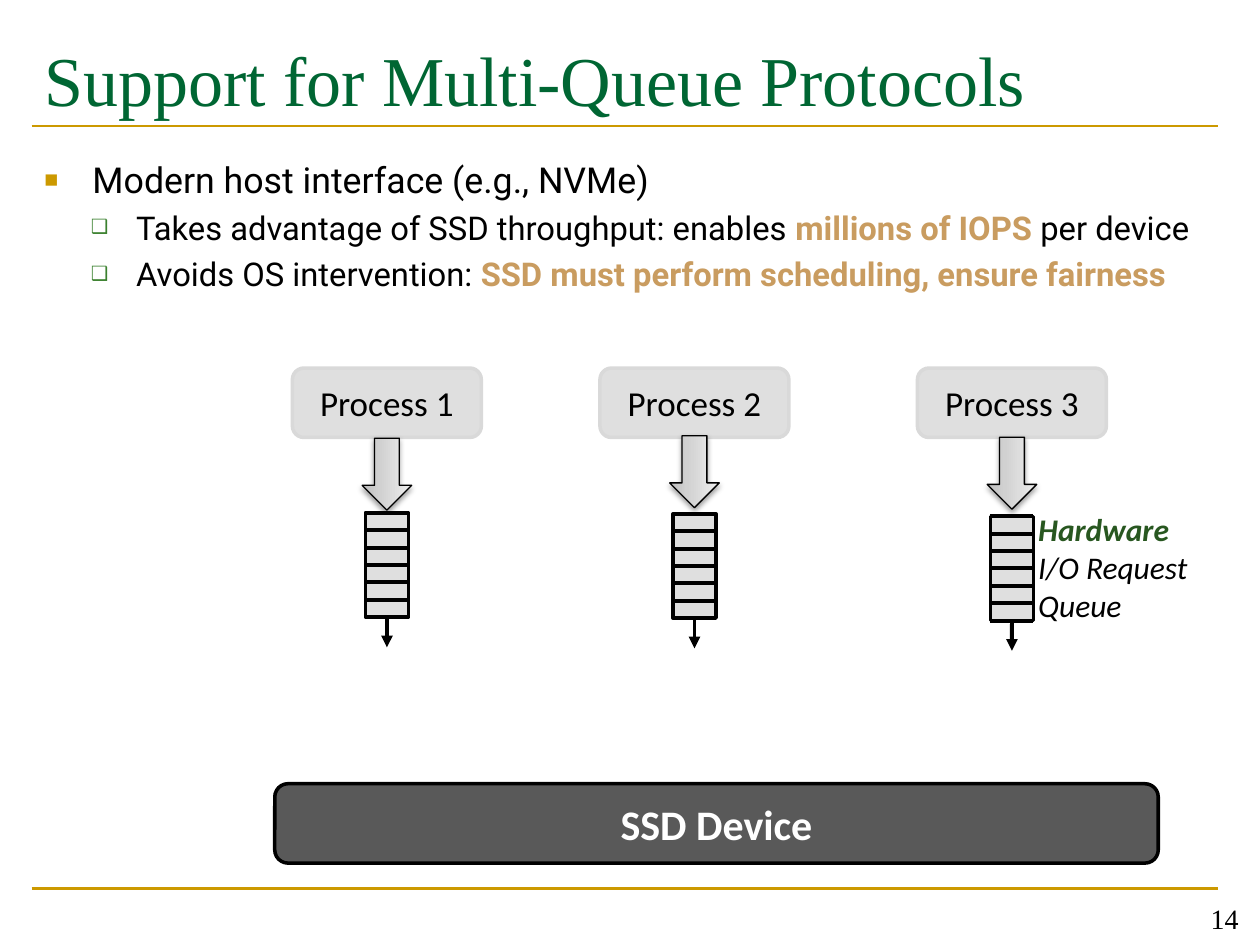
from lxml import etree
from pptx import Presentation
from pptx.dml.color import RGBColor
from pptx.enum.shapes import MSO_CONNECTOR, MSO_SHAPE
from pptx.enum.text import MSO_ANCHOR, MSO_AUTO_SIZE, PP_ALIGN
from pptx.oxml import parse_xml
from pptx.oxml.ns import nsdecls, qn
from pptx.util import Cm, Pt

STRAIGHT = MSO_CONNECTOR.STRAIGHT
ROUNDED = MSO_SHAPE.ROUNDED_RECTANGLE
RECTANGLE = MSO_SHAPE.RECTANGLE
RIGHT_ARROW = MSO_SHAPE.RIGHT_ARROW
TOP, MIDDLE, BOTTOM = MSO_ANCHOR.TOP, MSO_ANCHOR.MIDDLE, MSO_ANCHOR.BOTTOM
LEFT, CENTER, RIGHT = PP_ALIGN.LEFT, PP_ALIGN.CENTER, PP_ALIGN.RIGHT
NO_AUTOFIT = MSO_AUTO_SIZE.NONE

BLACK = RGBColor(0x00, 0x00, 0x00)
WHITE = RGBColor(0xFF, 0xFF, 0xFF)
GOLD = RGBColor(0xCC, 0x99, 0x00)
TITLE_GREEN = RGBColor(0x00, 0x66, 0x33)
BULLET_GREEN = RGBColor(0x3B, 0x81, 0x2F)
DARK_GREEN = RGBColor(0x28, 0x57, 0x20)
TAN = RGBColor(0xC9, 0x9C, 0x60)
DEVICE_GREY = RGBColor(0x59, 0x59, 0x59)
LIGHT_GREY = RGBColor(0xDF, 0xDF, 0xDF)
BORDER_GREY = RGBColor(0xD9, 0xD9, 0xD9)


def add_span(para, text, font="Calibri", size=20, color=BLACK, bold=False,
             italic=False, align=LEFT):
    para.alignment = align
    span = para.add_run()
    span.text = text
    span.font.name = font
    span.font.size = Pt(size)
    span.font.color.rgb = color
    span.font.bold = bold
    span.font.italic = italic


def add_line(x1, y1, x2, y2, color=BLACK, width=2.25):
    """Draw a shadowless line between two points given in centimetres."""
    line = slide.shapes.add_connector(STRAIGHT, Cm(x1), Cm(y1), Cm(x2), Cm(y2))
    line.line.color.rgb = color
    line.line.width = Pt(width)
    etree.SubElement(line._element.spPr, qn("a:effectLst"))
    return line


deck = Presentation()
deck.slide_width, deck.slide_height = Cm(25.4), Cm(19.05)
slide = deck.slides.add_slide(deck.slide_layouts[1])

# Rules above and below the content
for rule_y in (2.54, 17.91):
    add_line(0.64, rule_y, 24.56, rule_y, color=GOLD, width=1.5)

# Title
title = slide.shapes.title
title.left, title.top, title.width, title.height = Cm(0.64), Cm(0.43), Cm(23.93), Cm(2.46)
title.text_frame.auto_size = NO_AUTOFIT
title.text_frame.vertical_anchor = TOP
title.text_frame.margin_top = Cm(0.3)
add_span(title.text_frame.paragraphs[0], "Support for Multi-Queue Protocols",
         font="Times New Roman", size=40, color=TITLE_GREEN)

# Bulleted list: level, then (text, highlighted) pieces
bullets = [
    (0, [("Modern host interface (e.g., NVMe)", False)]),
    (1, [("Takes advantage of SSD throughput: enables ", False),
         ("millions of IOPS", True), (" per device", False)]),
    (1, [("Avoids OS intervention: ", False),
         ("SSD must perform scheduling, ensure fairness", True)]),
]
# Per level: text indent (cm), hanging (cm), text size, bullet, colour, bullet size (%)
levels = [(0.97, 0.97, 20.4, "■", GOLD, 65),
          (1.85, 0.91, 18.7, "❑", BULLET_GREEN, 60)]
body = slide.placeholders[1]
body.left, body.top, body.width, body.height = Cm(0.64), Cm(3.05), Cm(24.59), Cm(3.89)
body.text_frame.auto_size = NO_AUTOFIT
for index, (level, pieces) in enumerate(bullets):
    indent, hanging, size, mark, mark_color, mark_size = levels[level]
    para = body.text_frame.add_paragraph() if index else body.text_frame.paragraphs[0]
    para.level = level
    properties = para._p.get_or_add_pPr()
    properties.set("marL", str(Cm(indent)))
    properties.set("indent", str(-Cm(hanging)))
    color_element = etree.SubElement(properties, qn("a:buClr"))
    etree.SubElement(color_element, qn("a:srgbClr"), val=str(mark_color))
    etree.SubElement(properties, qn("a:buSzPct"), val=str(mark_size * 1000))
    etree.SubElement(properties, qn("a:buFont"), typeface="Arial")
    etree.SubElement(properties, qn("a:buChar"), char=mark)
    para.space_before = Pt(4 if index else 0)
    for text, highlighted in pieces:
        add_span(para, text, font="Roboto", size=size, bold=highlighted,
                 color=TAN if highlighted else BLACK)

# Rounded boxes: the device and one per process
process_centers = [7.8, 14, 20.4]
process_width = 3.81
boxes = [("SSD Device", 5.54, 15.8, 17.81, 1.6, DEVICE_GREY, BLACK, WHITE, 24, True)]
for number, center in enumerate(process_centers, start=1):
    boxes.append((f"Process {number}", center - process_width / 2, 7.42, process_width, 1.4,
                  LIGHT_GREY, BORDER_GREY, BLACK, 20, False))
for text, left, top, width, height, fill, border, color, size, bold in boxes:
    box = slide.shapes.add_shape(ROUNDED, Cm(left), Cm(top), Cm(width), Cm(height))
    box.shadow.inherit = False
    box.fill.solid()
    box.fill.fore_color.rgb = fill
    box.line.color.rgb = border
    box.line.width = Pt(2)
    box.text_frame.vertical_anchor = MIDDLE
    add_span(box.text_frame.paragraphs[0], text, size=size, color=color, bold=bold,
             align=CENTER)

# Block arrow, request queue and drain arrow below each process
arrow_length, arrow_breadth = 1.45, 1
queue_width, slot_height, slot_count = 0.87, 0.35, 6
queue_height = slot_height * slot_count
for center, arrow_middle, queue_top in zip(process_centers, (9.56, 9.51, 9.54),
                                           (10.34, 10.36, 10.41)):
    arrow = slide.shapes.add_shape(
        RIGHT_ARROW, Cm(center - arrow_length / 2), Cm(arrow_middle - arrow_breadth / 2),
        Cm(arrow_length), Cm(arrow_breadth))
    arrow.rotation = 90
    arrow.line.color.rgb = BLACK
    arrow.line.width = Pt(0.75)
    arrow.fill.gradient()
    arrow.fill.gradient_angle = 90
    stops = arrow._element.spPr.find(qn("a:gradFill")).find(qn("a:gsLst"))
    for stop in list(stops):
        stops.remove(stop)
    for position, shade in ((0, "BDBDBD"), (35, "D1D1D1"), (100, "EEEEEE")):
        stop = etree.SubElement(stops, qn("a:gs"), pos=str(position * 1000))
        etree.SubElement(stop, qn("a:srgbClr"), val=shade)
    arrow.shadow.inherit = False
    arrow._element.spPr.find(qn("a:effectLst")).append(parse_xml(
        f'<a:outerShdw {nsdecls("a")} blurRad="40000" dist="20000" dir="5400000" '
        'rotWithShape="0"><a:srgbClr val="000000"><a:alpha val="38000"/></a:srgbClr>'
        '</a:outerShdw>'))

    left, right = center - queue_width / 2, center + queue_width / 2
    queue = slide.shapes.add_shape(RECTANGLE, Cm(left), Cm(queue_top),
                                   Cm(queue_width), Cm(queue_height))
    queue.shadow.inherit = False
    queue.fill.solid()
    queue.fill.fore_color.rgb = LIGHT_GREY
    queue.line.color.rgb = BLACK
    queue.line.width = Pt(2)
    for slot in range(slot_count + 1):
        slot_y = queue_top + slot * slot_height
        divider = add_line(left, slot_y, right, slot_y)
        if slot == slot_count // 2:
            divider.begin_connect(queue, 1)
            divider.end_connect(queue, 3)

    queue_bottom = queue_top + queue_height
    drain = add_line(center, queue_bottom, center, queue_bottom + 0.61)
    drain.begin_connect(queue, 2)
    etree.SubElement(drain.line._get_or_add_ln(), qn("a:tailEnd"), type="triangle")

# Queue label
label = slide.shapes.add_textbox(Cm(20.68), Cm(10.16), Cm(3.56), Cm(2.57))
label.text_frame.word_wrap = False
for index, text in enumerate(("Hardware", "I/O Request", "Queue")):
    para = label.text_frame.add_paragraph() if index else label.text_frame.paragraphs[0]
    add_span(para, text, size=18, italic=True, bold=index == 0,
             color=BLACK if index else DARK_GREEN)

# Page number
page_number = slide.shapes.add_textbox(Cm(19.3), Cm(17.7), Cm(5.92), Cm(1.27))
page_number.text_frame.word_wrap = True
page_number.text_frame.vertical_anchor = BOTTOM
add_span(page_number.text_frame.paragraphs[0], "14", font="Times New Roman", size=16,
         align=RIGHT)

deck.save("out.pptx")
